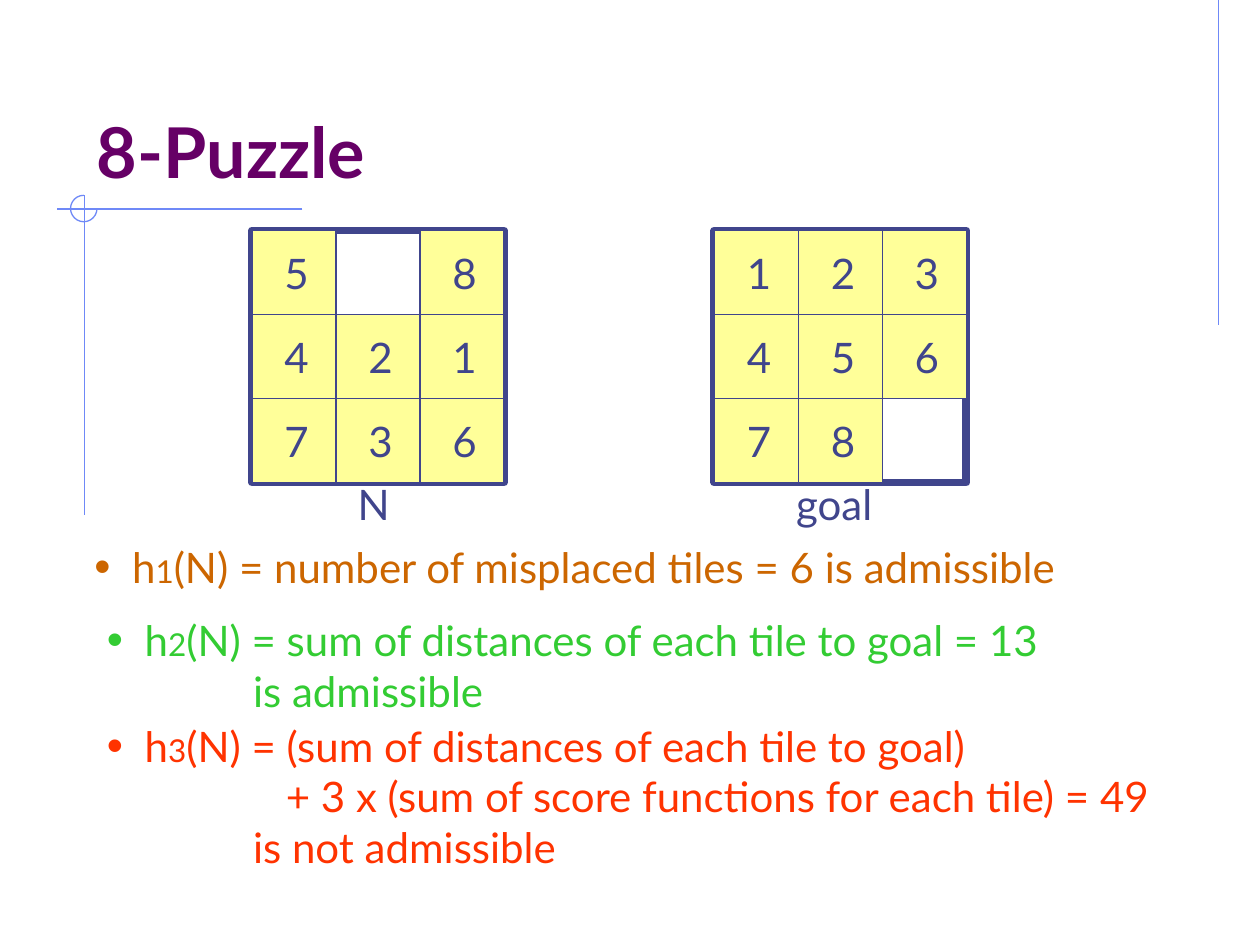
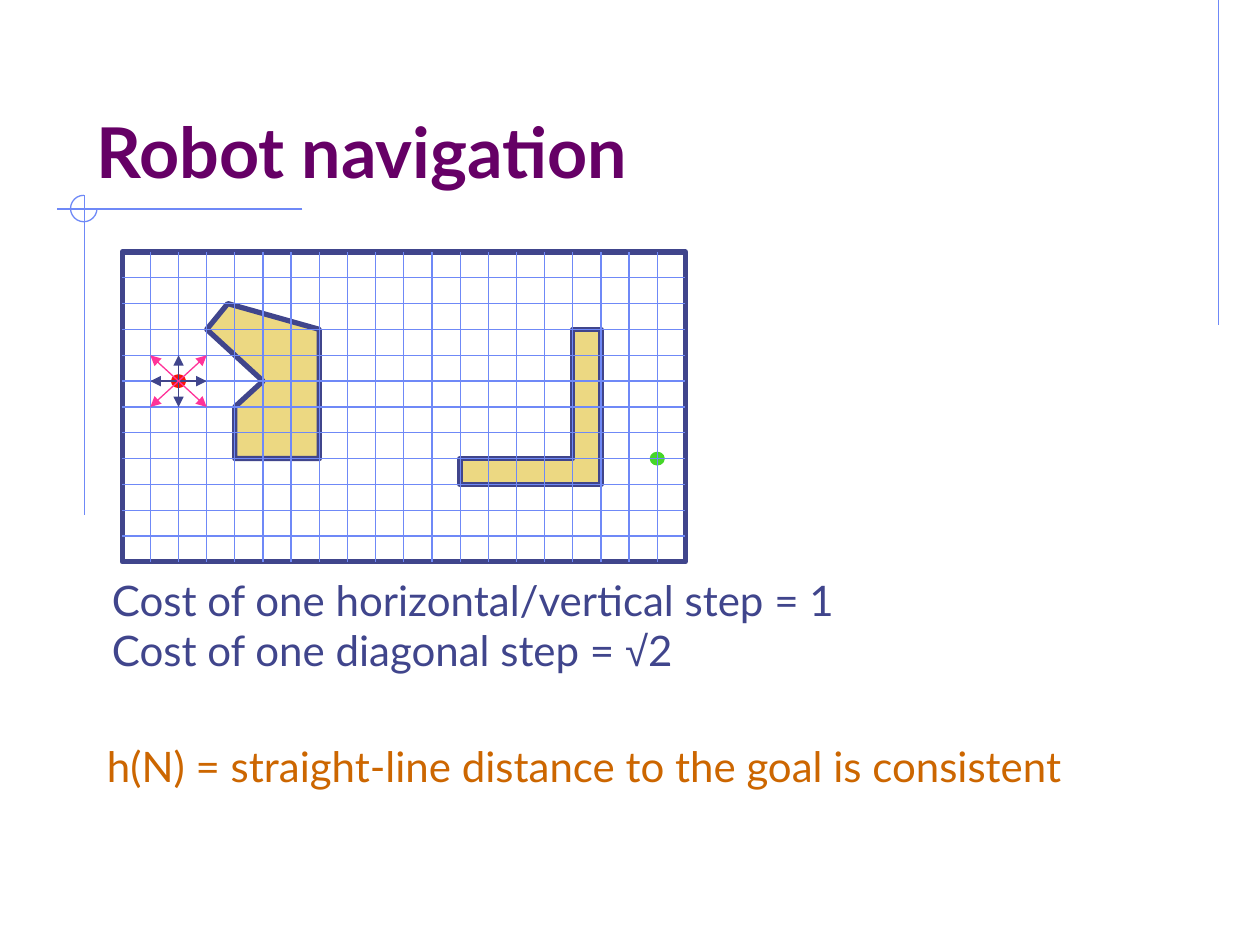
from dataclasses import dataclass

from lxml.etree import SubElement
from pptx import Presentation
from pptx.dml.color import RGBColor
from pptx.enum.shapes import MSO_CONNECTOR as CONN, MSO_SHAPE as SHAPE
from pptx.enum.text import MSO_ANCHOR as ANCHOR, PP_ALIGN as ALIGN
from pptx.oxml.ns import qn
from pptx.util import Inches, Pt


@dataclass(frozen=True)
class Theme:
    ink: str = "40458C"
    title: str = "660066"
    rule: str = "6F89F7"
    tile: str = "FFFF99"
    obstacle: str = "ECD882"
    robot: str = "F81706"
    target: str = "45D628"
    diagonal: str = "FF3399"
    orange: str = "CC6600"
    green: str = "33CC33"
    red: str = "FF3300"
    font: str = "Lato"
    symbol_font: str = "Arial"
    title_size: int = 40
    body_size: int = 24
    index_size: int = 18
    thin: float = 0.75
    wall: float = 3
    frame: float = 4.5


T = Theme()

# Slide 1: board position, tiles row by row (None is the gap), label and its box
BOARDS = [
    ((5.67, 1.83), [[1, 2, 3], [4, 5, 6], [7, 8, None]], "goal", (6.22, 3.75, 0.88, 0.5)),
    ((2, 1.83), [[5, None, 8], [4, 2, 1], [7, 3, 6]], "N", (2.74, 3.75, 0.45, 0.5)),
]
BOARD_SIZE = 2

# Box, colour, index of h, text after the index, further lines as (indent, text)
HEURISTICS = [
    ((0.65, 4.25, 8.38, 0.5), T.orange, "1",
     "(N) = number of misplaced tiles = 6 is admissible", []),
    ((0.75, 4.83, 8.08, 0.9), T.green, "2",
     "(N) = sum of distances of each tile to goal = 13",
     [(1.16, "is admissible")]),
    ((0.75, 5.67, 8.92, 1.3), T.red, "3",
     "(N) = (sum of distances of each tile to goal)",
     [(1.42, "+ 3 x (sum of score functions for each tile) = 49"),
      (1.16, "is not admissible")]),
]
BULLET_INDENT = 0.3

# Slide 2: the map is measured in grid steps (column, row)
MAP_BOX = (0.97, 2, 4.47, 2.46)
COLS, ROWS = 20, 12
OBSTACLES = [
    [(3, 3), (5, 5), (4, 6), (4, 8), (7, 8), (7, 3), (3.75, 2)],
    [(12, 8), (12, 9), (17, 9), (17, 3), (16, 3), (16, 8)],
]
ROBOT, TARGET = (2, 5), (19, 8)
# From and to, relative to the robot; colour; whether both ends have a head
MOVES = [
    ((0, 0), (0, -1), T.ink, False),
    ((0, 0), (0, 1), T.ink, False),
    ((-1, 0), (1, 0), T.ink, True),
    ((1, -1), (-1, 1), T.diagonal, True),
    ((-1, -1), (1, 1), T.diagonal, True),
]
COSTS = [
    [("Cost of one horizontal/vertical step = 1", {})],
    [("Cost of one diagonal step = ", {}), ("√", {"font": T.symbol_font}), ("2", {})],
]
CLAIM = "h(N) = straight-line distance to the goal is consistent"


def rgb(color):
    return RGBColor.from_string(color)


def format_run(r, color, size=T.body_size, font=T.font, bold=False):
    r.font.name, r.font.size, r.font.bold = font, Pt(size), bold
    r.font.color.rgb = rgb(color)


def add_text(slide, box, lines, color, wrap=False, anchor=ANCHOR.TOP, **style):
    """Each line is a list of (text, format overrides); returns the paragraphs."""
    tf = slide.shapes.add_textbox(*map(Inches, box)).text_frame
    tf.word_wrap, tf.vertical_anchor = wrap, anchor
    for i, runs in enumerate(lines):
        p = tf.add_paragraph() if i else tf.paragraphs[0]
        for text, override in runs:
            r = p.add_run()
            r.text = text
            format_run(r, color, **{**style, **override})
    return tf.paragraphs


def set_indent(p, left, first=0):
    pPr = p._p.get_or_add_pPr()
    pPr.set("marL", str(Inches(left)))
    pPr.set("indent", str(Inches(first)))
    return pPr


def add_bullet(p, color):
    pPr = set_indent(p, BULLET_INDENT, -BULLET_INDENT)
    SubElement(SubElement(pPr, qn("a:buClr")), qn("a:srgbClr"), val=color)
    SubElement(pPr, qn("a:buSzPct"), val="110000")
    SubElement(pPr, qn("a:buFont"), typeface=T.symbol_font)
    SubElement(pPr, qn("a:buChar"), char="•")


def paint(sp, line, width=T.thin, fill=None):
    sp.shadow.inherit = False
    if fill:
        sp.fill.solid()
        sp.fill.fore_color.rgb = rgb(fill)
    else:
        sp.fill.background()
    sp.line.color.rgb = rgb(line)
    sp.line.width = Pt(width)
    return sp


def add_shape(slide, kind, box, *look):
    return paint(slide.shapes.add_shape(kind, *map(Inches, box)), *look)


def add_line(slide, start, end, color=T.rule, heads=()):
    """heads names the ends with an arrowhead: a:headEnd, a:tailEnd, in that order."""
    cx = slide.shapes.add_connector(CONN.STRAIGHT, *map(Inches, (*start, *end)))
    cx.line.color.rgb = rgb(color)
    cx.line.width = Pt(T.thin)
    for name in heads:
        SubElement(cx.line._get_or_add_ln(), qn(name), type="triangle")
    SubElement(cx._element.spPr, qn("a:effectLst"))
    return cx


def new_slide(prs, title):
    slide = prs.slides.add_slide(prs.slide_layouts[6])
    add_line(slide, (9.67, 0), (9.67, 2.58))
    add_line(slide, (2.4, 1.66), (0.45, 1.66))
    add_line(slide, (0.67, 1.55), (0.67, 4.09))
    arc = add_shape(slide, SHAPE.ARC, (0.56, 1.55, 0.21, 0.21), T.rule)
    arc.adjustments[0], arc.adjustments[1] = 0, 162  # right side clockwise to top
    add_text(slide, (0.67, 0.33, 8.5, 1.25), [[(title, {})]], T.title, wrap=True,
             anchor=ANCHOR.BOTTOM, size=T.title_size, bold=True)
    return slide


def add_board(slide, corner, tiles):
    x, y = corner
    step = BOARD_SIZE / len(tiles)
    add_shape(slide, SHAPE.RECTANGLE, (x, y, BOARD_SIZE, BOARD_SIZE), T.ink, T.frame)
    for row, numbers in enumerate(tiles):
        for col, number in enumerate(numbers):
            if number is None:
                continue
            sp = add_shape(slide, SHAPE.RECTANGLE,
                           (x + col * step, y + row * step, step, step),
                           T.ink, T.thin, T.tile)
            tf = sp.text_frame
            tf.margin_left = Inches(0.04)
            tf.margin_right = tf.margin_top = tf.margin_bottom = 0
            tf.vertical_anchor = ANCHOR.MIDDLE
            p = tf.paragraphs[0]
            p.text, p.alignment = str(number), ALIGN.CENTER
            format_run(p.runs[0], T.ink)


def puzzle_slide(prs):
    slide = new_slide(prs, "8-Puzzle")
    for corner, tiles, label, label_box in BOARDS:
        add_board(slide, corner, tiles)
        add_text(slide, label_box, [[(label, {})]], T.ink)
    for box, color, index, text, more in HEURISTICS:
        first = [("h", {}), (index, {"size": T.index_size}), (text, {})]
        lines = [first] + [[(extra, {})] for _, extra in more]
        head, *rest = add_text(slide, box, lines, color, wrap=True)
        add_bullet(head, color)
        for p, (indent, _) in zip(rest, more):
            set_indent(p, indent)


def grid_point(col, row):
    x, y, w, h = MAP_BOX
    return x + col * w / COLS, y + row * h / ROWS


def add_dot(slide, place, color):
    x, y = grid_point(*place)
    add_shape(slide, SHAPE.OVAL, (x - 0.055, y - 0.05, 0.11, 0.1), color, T.thin, color)


def add_obstacle(slide, corners):
    points = [tuple(map(Inches, grid_point(*c))) for c in corners]
    builder = slide.shapes.build_freeform(*points[0])
    builder.add_line_segments(points[1:], close=True)
    paint(builder.convert_to_shape(), T.ink, T.wall, T.obstacle)


def add_grid(slide, frame):
    """Inner grid lines; the two middle ones are joined to the frame's sides."""
    for row in range(1, ROWS):
        cx = add_line(slide, grid_point(0, row), grid_point(COLS, row))
        if 2 * row == ROWS:
            cx.begin_connect(frame, 1)
            cx.end_connect(frame, 3)
    for col in range(1, COLS):
        cx = add_line(slide, grid_point(col, 0), grid_point(col, ROWS))
        if 2 * col == COLS:
            cx.begin_connect(frame, 0)
            cx.end_connect(frame, 2)


def robot_slide(prs):
    slide = new_slide(prs, "Robot navigation")
    frame = add_shape(slide, SHAPE.RECTANGLE, MAP_BOX, T.ink, T.wall)
    for corners in OBSTACLES:
        add_obstacle(slide, corners)
    add_dot(slide, ROBOT, T.robot)
    add_dot(slide, TARGET, T.target)
    add_grid(slide, frame)
    col, row = ROBOT
    for (c1, r1), (c2, r2), color, both in MOVES:
        heads = ("a:headEnd", "a:tailEnd") if both else ("a:tailEnd",)
        add_line(slide, grid_point(col + c1, row + r1),
                 grid_point(col + c2, row + r2), color, heads)
    add_text(slide, (0.79, 4.51, 6.22, 0.9), COSTS, T.ink)
    add_text(slide, (0.75, 5.83, 8.32, 0.5), [[(CLAIM, {})]], T.orange)


def main():
    prs = Presentation()
    prs.slide_width, prs.slide_height = Inches(10), Inches(7.5)
    puzzle_slide(prs)
    robot_slide(prs)
    prs.save("out.pptx")


if __name__ == "__main__":
    main()
